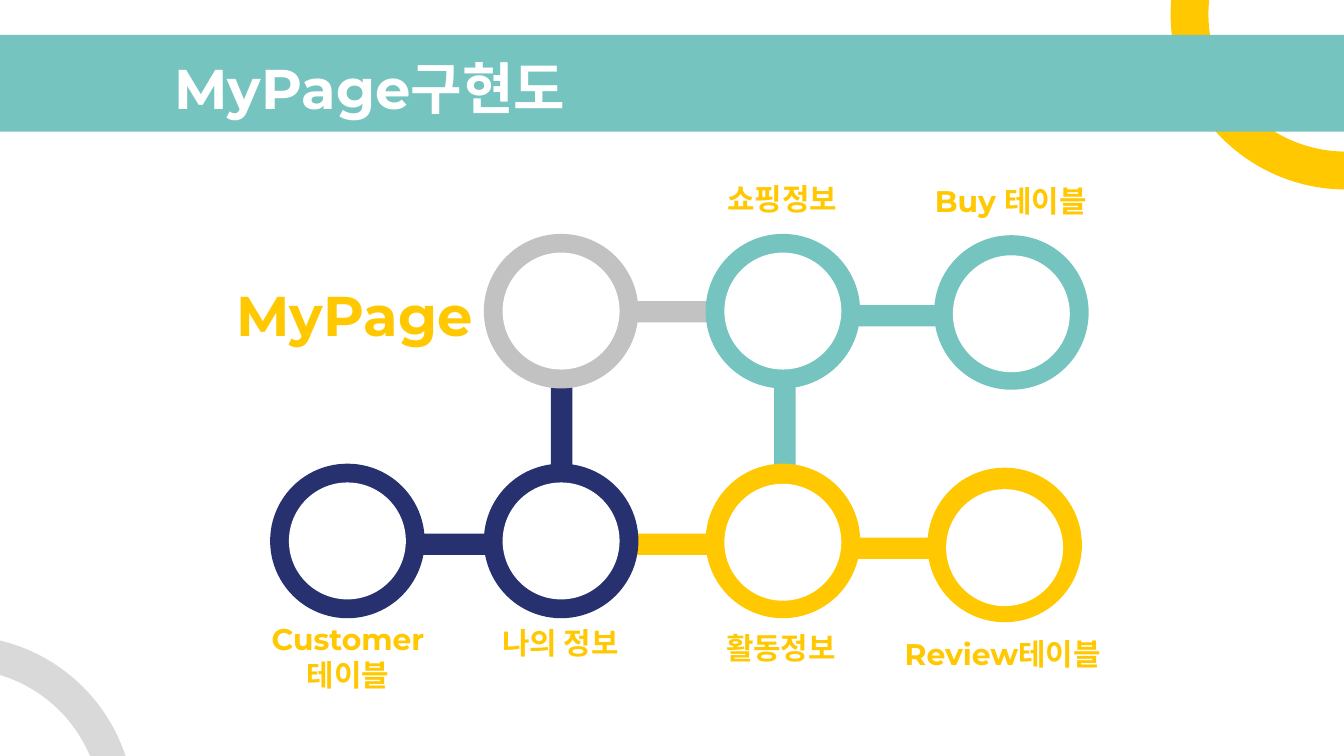
from dataclasses import dataclass

from lxml.etree import SubElement
from pptx import Presentation
from pptx.dml.color import RGBColor
from pptx.enum.shapes import MSO_SHAPE
from pptx.enum.text import MSO_ANCHOR, PP_ALIGN
from pptx.oxml.ns import qn
from pptx.shapes.autoshape import Shape
from pptx.slide import Slide
from pptx.util import Inches, Pt


@dataclass(frozen=True)
class Theme:
    teal: str = "75C4C0"
    gold: str = "FFC800"
    navy: str = "27316F"
    grey: str = "C2C2C2"
    pale: str = "D9D9D9"
    white: str = "FFFFFF"
    latin: str = "Montserrat"
    hangul: str = "Noto Sans CJK KR"
    large: int = 30
    small: int = 16


@dataclass(frozen=True)
class Box:
    left: float
    top: float
    width: float
    height: float


@dataclass(frozen=True)
class Arc:
    left: float
    top: float
    turn: int
    adjust: tuple[float, float, float]
    color: str


@dataclass(frozen=True)
class Link:
    x: float  # centre
    y: float
    color: str
    upright: bool = False


@dataclass(frozen=True)
class Ring:
    left: float
    top: float
    color: str
    drop: float = 0.14  # from ring top to hole top


@dataclass(frozen=True)
class Label:
    box: Box
    latin: str = ""
    hangul: str = ""
    size: int = Theme.small
    color: str = Theme.gold
    align: PP_ALIGN = PP_ALIGN.CENTER
    anchor: MSO_ANCHOR = MSO_ANCHOR.MIDDLE
    head: float = 0.15  # top inset


T = Theme()
WIDE = 10
ARC, RING, HOLE, EDGE = 2.61, 1.15, 0.87, 0.14
LONG, THICK = 0.65, 0.16

ARCS = [
    Arc(8.71, -1.2, 270, (108.208, 165.56, 0.108), T.gold),
    Arc(-1.61, 4.73, 345, (175.067, 215.558, 0.095), T.pale),
]
BAND = Box(-0.17, 0.26, 10.34, 0.72)

LINKS = [
    Link(4.98, 2.32, T.grey),
    Link(6.68, 2.35, T.teal),
    Link(4.18, 3.18, T.navy, upright=True),
    Link(5.84, 3.17, T.teal, upright=True),
    Link(3.3, 4.05, T.navy),
    Link(5.03, 4.05, T.gold),
    Link(6.68, 4.08, T.gold),
]
RINGS = [
    Ring(3.6, 1.74, T.grey),
    Ring(5.25, 1.74, T.teal),
    Ring(6.95, 1.75, T.teal, 0.15),
    Ring(2.01, 3.45, T.navy),
    Ring(3.6, 3.45, T.navy),
    Ring(5.25, 3.45, T.gold, 0.15),
    Ring(6.9, 3.48, T.gold, 0.16),
]
LABELS = [
    Label(Box(1.2, 0.31, 8.46, 0.63), "MyPage", "구현도",
          T.large, T.white, PP_ALIGN.LEFT),
    Label(Box(1.41, 1.99, 2.46, 0.66), "MyPage",
          size=T.large, anchor=MSO_ANCHOR.TOP, head=0.1),
    Label(Box(4.81, 1.24, 2.02, 0.43), hangul="쇼핑정보"),
    Label(Box(6.51, 1.25, 2.02, 0.43), "Buy ", "테이블"),
    Label(Box(1.66, 4.52, 1.86, 0.43), "Customer ", "테이블",
          anchor=MSO_ANCHOR.TOP, head=0.1),
    Label(Box(3.16, 4.54, 2.02, 0.43), hangul="나의 정보"),
    Label(Box(4.8, 4.58, 2.02, 0.43), hangul="활동정보"),
    Label(Box(6.45, 4.62, 2.02, 0.43), "Review", "테이블"),
]


def place(box: Box) -> tuple[int, ...]:
    """Give the box as lengths for python-pptx."""
    return tuple(Inches(n) for n in (box.left, box.top, box.width, box.height))


def draw_shape(slide: Slide, kind: MSO_SHAPE, box: Box, color: str) -> Shape:
    shape = slide.shapes.add_shape(kind, *place(box))
    shape.shadow.inherit = False
    shape.fill.solid()
    shape.fill.fore_color.rgb = RGBColor.from_string(color)
    shape.line.fill.background()
    return shape


def draw_arc(slide: Slide, arc: Arc) -> None:
    box = Box(arc.left, arc.top, ARC, ARC)
    shape = draw_shape(slide, MSO_SHAPE.BLOCK_ARC, box, arc.color)
    shape.rotation = arc.turn
    for i, value in enumerate(arc.adjust):
        shape.adjustments[i] = value


def draw_link(slide: Slide, link: Link) -> None:
    wide, high = (THICK, LONG) if link.upright else (LONG, THICK)
    box = Box(link.x - wide / 2, link.y - high / 2, wide, high)
    draw_shape(slide, MSO_SHAPE.RECTANGLE, box, link.color)


def draw_ring(slide: Slide, ring: Ring) -> None:
    outer = Box(ring.left, ring.top, RING, RING)
    inner = Box(ring.left + EDGE, ring.top + ring.drop, HOLE, HOLE)
    draw_shape(slide, MSO_SHAPE.OVAL, outer, ring.color)
    draw_shape(slide, MSO_SHAPE.OVAL, inner, T.white)


def draw_label(slide: Slide, label: Label) -> None:
    frame = slide.shapes.add_textbox(*place(label.box)).text_frame
    inset = Inches(0.1)
    style = {
        "word_wrap": True, "vertical_anchor": label.anchor,
        "margin_left": inset, "margin_right": inset,
        "margin_top": Inches(label.head), "margin_bottom": inset,
    }
    for name, value in style.items():
        setattr(frame, name, value)
    para = frame.paragraphs[0]
    para.alignment = label.align
    for text, face in ((label.latin, T.latin), (label.hangul, T.hangul)):
        if not text:
            continue
        run = para.add_run()
        run.text = text
        style = {"name": face, "size": Pt(label.size), "bold": True}
        for name, value in style.items():
            setattr(run.font, name, value)
        run.font.color.rgb = RGBColor.from_string(label.color)
        east = SubElement(run.font._element, qn("a:ea"))
        east.set("typeface", face)


def main() -> None:
    deck = Presentation()
    deck.slide_width, deck.slide_height = Inches(WIDE), Inches(WIDE * 9 / 16)
    slide = deck.slides.add_slide(deck.slide_layouts[6])
    for arc in ARCS:
        draw_arc(slide, arc)
    draw_shape(slide, MSO_SHAPE.RECTANGLE, BAND, T.teal)
    for link in LINKS:
        draw_link(slide, link)
    for ring in RINGS:
        draw_ring(slide, ring)
    for label in LABELS:
        draw_label(slide, label)
    deck.save("out.pptx")


if __name__ == "__main__":
    main()
